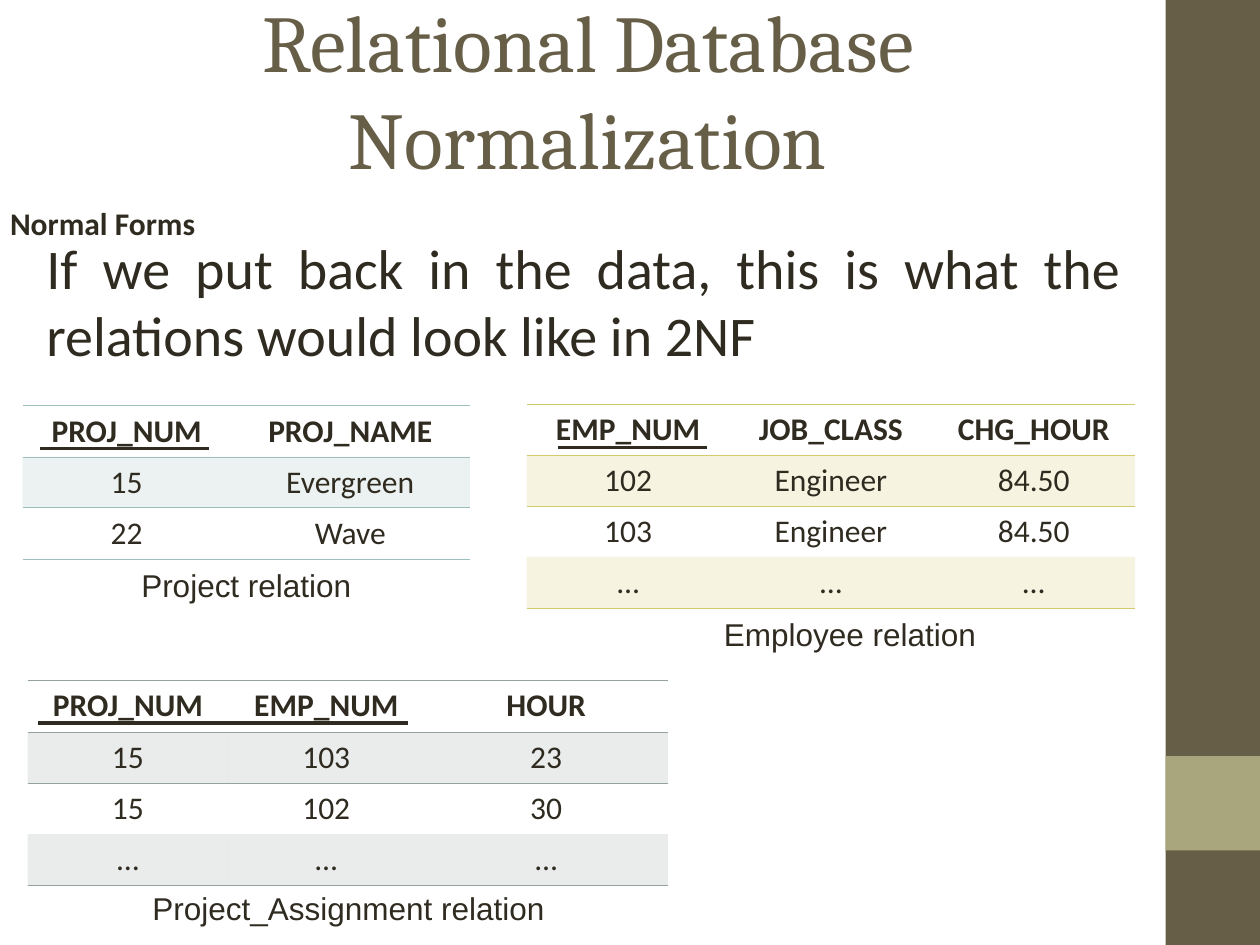
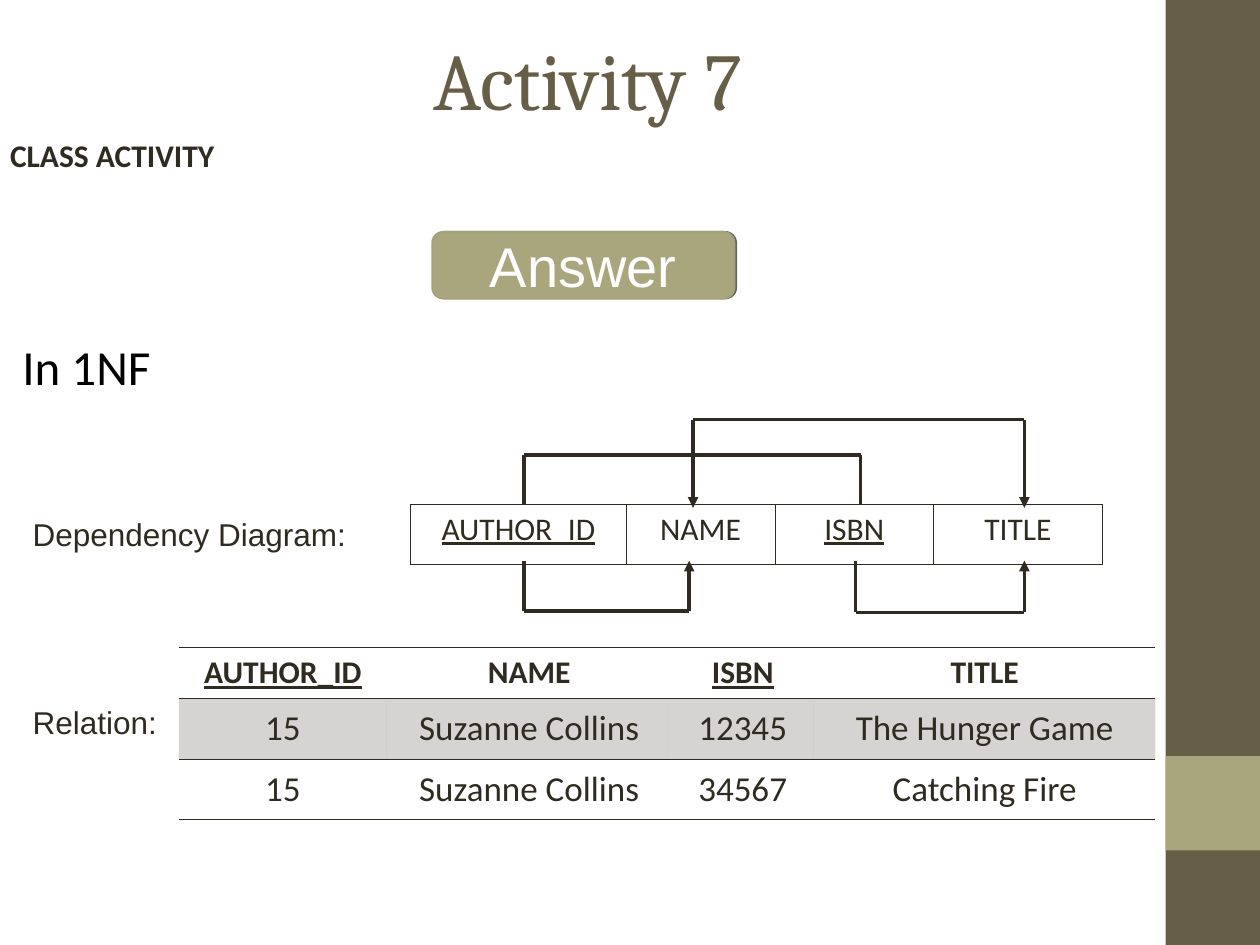
from lxml import etree
from pptx import Presentation
from pptx.dml.color import RGBColor
from pptx.enum.shapes import MSO_CONNECTOR, MSO_SHAPE
from pptx.enum.text import MSO_ANCHOR, PP_ALIGN
from pptx.oxml.ns import qn
from pptx.util import Emu, Pt

PX = 9144
LEFT, CENTER, JUSTIFY = PP_ALIGN.LEFT, PP_ALIGN.CENTER, PP_ALIGN.JUSTIFY
TOP, MIDDLE = MSO_ANCHOR.TOP, MSO_ANCHOR.MIDDLE
RECT, ROUNDED = MSO_SHAPE.RECTANGLE, MSO_SHAPE.ROUNDED_RECTANGLE
STRAIGHT = MSO_CONNECTOR.STRAIGHT
NO_STYLE = "{2D5ABB26-0587-4C30-8999-92F81FD0307C}"
HEAD, BODY, LABEL = "Cambria", "Calibri", "Arial"
COLORS = {
    "ink": "2F2B20", "black": "000000", "white": "FFFFFF",
    "brown": "675E47", "olive": "A9A57C", "olive_edge": "A6A278",
    "teal": "9CBEBD", "yellow": "D2CB6C", "gray": "95A39D",
}


def rgb(name):
    return RGBColor.from_string(COLORS[name])


def add_xml(parent, tag, **attrs):
    return etree.SubElement(parent, qn(tag), attrs)


class Deck:
    """Builds slides in one shared style."""

    def __init__(self):
        self.prs = Presentation()
        self.prs.slide_width, self.prs.slide_height = self.px(1000, 750)
        self.s = None

    def px(self, *values):
        return [Emu(v * PX) for v in values]

    def run(self, p, text, size, font=BODY, color="ink", bold=False, underline=False):
        r = p.add_run()
        r.text = text
        r.font.size, r.font.name = Pt(size), font
        r.font.bold, r.font.underline = bold, underline
        r.font.color.rgb = rgb(color)

    def slide(self, title, title_y, section, section_y):
        self.s = self.prs.slides.add_slide(self.prs.slide_layouts[5])
        self.shape(RECT, 925, 0, 75, 750, "brown")
        self.shape(RECT, 925, 600, 75, 75, "olive")
        sp = self.s.shapes.title
        sp.left, sp.top, sp.width, sp.height = self.px(50, title_y, 833, 125)
        tf = sp.text_frame
        tf.word_wrap, tf.vertical_anchor = True, MIDDLE
        p = tf.paragraphs[0]
        p.alignment = CENTER
        self.run(p, title, 46, HEAD, "brown")
        tf = self.text(section, 0, section_y, 894, 35, bold=True)
        tf.margin_left, tf.margin_top, tf.margin_right, tf.margin_bottom = self.px(8, 0, 8, 0)
        tf.paragraphs[0].line_spacing = Pt(18)

    def shape(self, kind, x, y, w, h, fill, edge=None):
        sp = self.s.shapes.add_shape(kind, *self.px(x, y, w, h))
        sp.shadow.inherit = False
        sp.fill.solid()
        sp.fill.fore_color.rgb = rgb(fill)
        if edge:
            sp.line.color.rgb, sp.line.width = rgb(edge), Pt(1)
        else:
            sp.line.fill.background()
        return sp

    def button(self, text, x, y, w, h):
        sp = self.shape(ROUNDED, x, y, w, h, "olive", "olive_edge")
        effects = sp.element.spPr.find(qn("a:effectLst"))
        shadow = add_xml(effects, "a:outerShdw", blurRad="0", dist="12700", dir="0")
        add_xml(add_xml(shadow, "a:srgbClr", val=COLORS["black"]), "a:alpha", val="60000")
        tf = sp.text_frame
        tf.vertical_anchor = MIDDLE
        p = tf.paragraphs[0]
        p.alignment = CENTER
        self.run(p, text, 32, LABEL, "white")

    def text(self, text, x, y, w, h, size=18, align=LEFT, **style):
        tf = self.s.shapes.add_textbox(*self.px(x, y, w, h)).text_frame
        tf.word_wrap = True
        p = tf.paragraphs[0]
        p.alignment = align
        self.run(p, text, size, **style)
        return tf

    def line(self, x1, y1, x2, y2, arrow=False):
        c = self.s.shapes.add_connector(STRAIGHT, *self.px(x1, y1, x2, y2))
        c.line.color.rgb, c.line.width = rgb("ink"), Pt(2)
        if arrow:
            add_xml(c.line._get_or_add_ln(), "a:tailEnd", type="triangle")
        add_xml(c.element.spPr, "a:effectLst")

    def bracket(self, x1, x2, cell_y, bar_y, start=False, end=False):
        self.line(x1, bar_y, x1, cell_y, start)
        self.line(x1, bar_y, x2, bar_y)
        self.line(x2, bar_y, x2, cell_y, end)

    def borders(self, cell, sides, color):
        tc_pr = cell._tc.get_or_add_tcPr()
        for i, side in enumerate(sides):
            ln = etree.Element(qn(f"a:ln{side}"), w="5715")
            add_xml(add_xml(ln, "a:solidFill"), "a:srgbClr", val=COLORS[color])
            tc_pr.insert(i, ln)

    def table(self, x, y, cols, heights, rows, color, keys=(), size=18, anchor=TOP, grid=False):
        frame = self.s.shapes.add_table(
            len(rows), len(cols), *self.px(x, y, sum(cols), sum(heights)))
        t = frame.table
        t.first_row = t.horz_banding = False
        t._tbl.tblPr.find(qn("a:tableStyleId")).text = NO_STYLE
        for col, w in zip(t.columns, self.px(*cols)):
            col.width = w
        for row, h in zip(t.rows, self.px(*heights)):
            row.height = h
        for i, row in enumerate(rows):
            header = i == 0
            for j, value in enumerate(row):
                cell = t.cell(i, j)
                cell.vertical_anchor = TOP if header else anchor
                p = cell.text_frame.paragraphs[0]
                p.alignment = CENTER
                self.run(p, value, 18 if header else size,
                         bold=header and not grid, underline=header and value in keys)
                if i % 2:
                    cell.fill.solid()
                    cell.fill.fore_color.rgb = rgb(color)
                    tint = cell._tc.tcPr.find(".//" + qn("a:srgbClr"))
                    add_xml(tint, "a:alpha", val="20000")
                else:
                    cell.fill.background()
                if grid:
                    self.borders(cell, "LRTB", color)
                elif header:
                    self.borders(cell, "TB", color)
                elif i == 1:
                    self.borders(cell, "T", color)
                elif i == len(rows) - 1:
                    self.borders(cell, "B", color)


def relations_slide(deck):
    deck.slide("Relational Database Normalization", 8, "Normal Forms", 167)
    deck.text("If we put back in the data, this is what the relations would look like in 2NF",
              27, 180, 873, 118, 32, JUSTIFY)
    dots = ["…"] * 3
    deck.table(18, 322, [165, 190], [41, 40, 41],
               [["PROJ_NUM", "PROJ_NAME"], ["15", "Evergreen"], ["22", "Wave"]], "teal")
    deck.table(418, 321, [161] * 3, [40, 41, 40, 41],
               [["EMP_NUM", "JOB_CLASS", "CHG_HOUR"], ["102", "Engineer", "84.50"],
                ["103", "Engineer", "84.50"], dots], "yellow")
    deck.table(22, 540, [159, 156, 193], [41, 41, 40, 41],
               [["PROJ_NUM", "EMP_NUM", "HOUR"], ["15", "103", "23"],
                ["15", "102", "30"], dots], "gray")
    for x1, x2, y in [(32, 166, 356), (443, 561, 355), (30, 324, 574)]:
        deck.line(x1, y, x2, y)
    for name, x, y, w in [("Project", 97, 444, 197), ("Employee", 564, 483, 221),
                          ("Project_Assignment", 94, 701, 365)]:
        deck.text(f"{name} relation", x, y, w, 40, align=CENTER, font=LABEL)


def activity_slide(deck):
    deck.slide("Activity 7", 0, "CLASS ACTIVITY", 113)
    deck.button("Answer", 343, 184, 240, 53)
    deck.text("In 1NF", 8, 262, 937, 118, 28, color="black")
    fields = ["AUTHOR_ID", "NAME", "ISBN", "TITLE"]
    keys = ("AUTHOR_ID", "ISBN")
    deck.table(326, 400, [171, 118, 126, 134], [48], [fields], "ink", keys, grid=True)
    deck.bracket(416, 683, 400, 361)
    deck.bracket(550, 813, 403, 333, start=True, end=True)
    deck.bracket(416, 547, 445, 485, end=True)
    deck.bracket(679, 813, 445, 486, end=True)
    for label, y in [("Dependency Diagram:", 404), ("Relation:", 553)]:
        deck.text(label, 16, y, 299, 40, font=LABEL)
    deck.table(142, 514, [165, 226, 113, 271], [40, 49, 47],
               [fields, ["15", "Suzanne Collins", "12345", "The Hunger Game"],
                ["15", "Suzanne Collins", "34567", "Catching Fire"]],
               "ink", keys, size=20, anchor=MIDDLE)


def main():
    deck = Deck()
    relations_slide(deck)
    activity_slide(deck)
    deck.prs.save("out.pptx")


if __name__ == "__main__":
    main()
